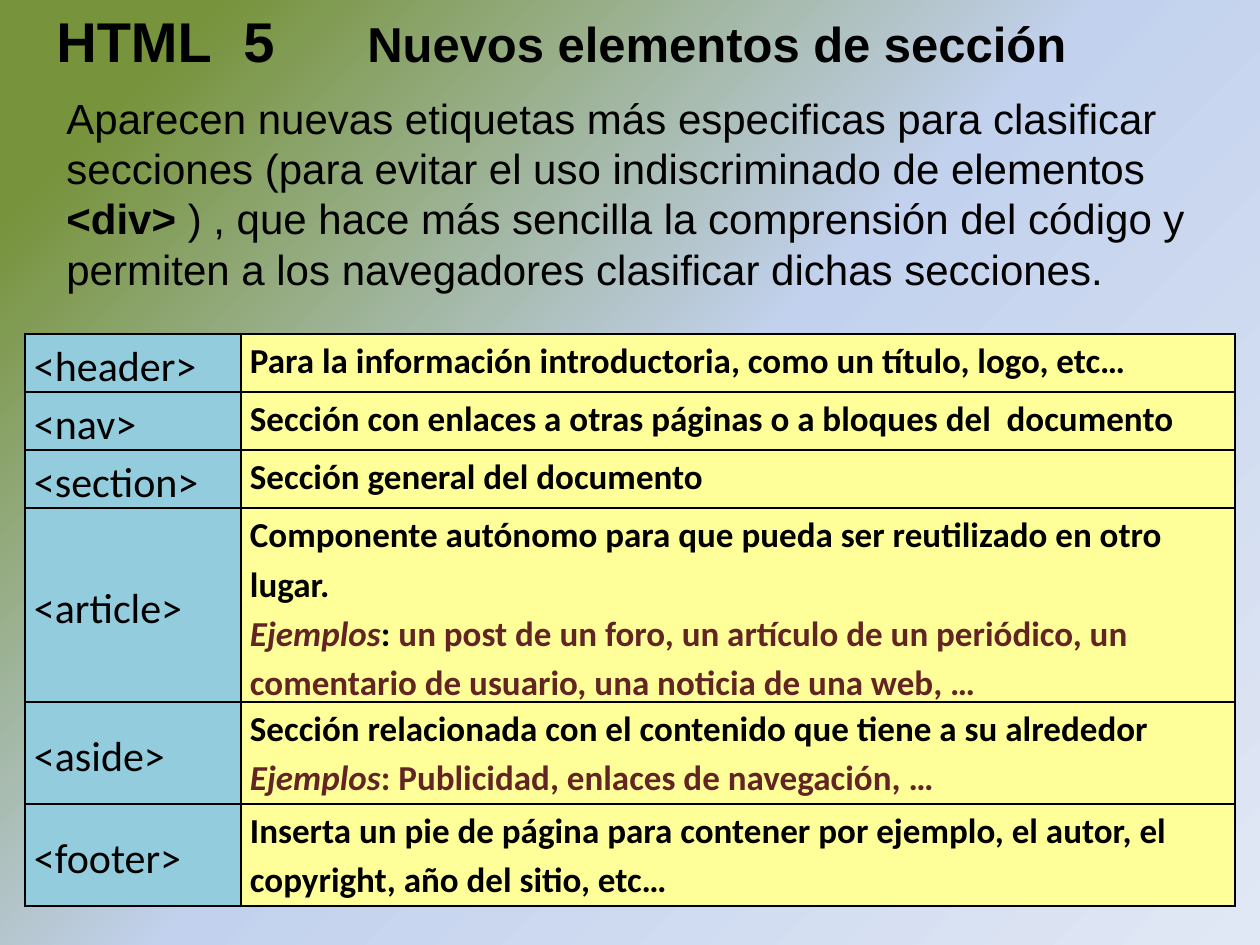
"""Build the HTML 5 section elements slide."""
from copy import deepcopy

from lxml.etree import SubElement
from pptx import Presentation
from pptx.dml.color import RGBColor
from pptx.enum.text import MSO_ANCHOR, MSO_AUTO_SIZE
from pptx.oxml.ns import qn
from pptx.util import Emu, Pt

BLACK, MAROON, CYAN, YELLOW = "000000", "632523", "93CDDD", "FFFF99"
STOPS = [(0.1, "77933C"), (0.5, "C2D1ED"), (1, "E1E8F5")]
TITLE = [("HTML\t5\t", {"size": 32, "bold": True}),
         ("Nuevos elementos de sección", {"size": 28, "bold": True})]
TITLE_TABS = [187, 311]
INTRO = [
    ("Aparecen nuevas etiquetas más especificas para clasificar secciones "
     "(para evitar el uso indiscriminado de elementos ", {}),
    ("<div> ", {"bold": True}),
    (") , que hace más sencilla la comprensión del código y permiten a los "
     "navegadores clasificar dichas secciones.", {}),
]
NOTE = {"color": MAROON}
EXAMPLES = ("Ejemplos", {"color": MAROON, "italic": True})
ROWS = [
    ("<header>", 58, [[("Para la información introductoria, como un título, logo, etc…", {})]]),
    ("<nav>", 58, [[("Sección con enlaces a otras páginas o a bloques del  documento", {})]]),
    ("<section>", 58, [[("Sección general del documento", {})]]),
    ("<article>", 194, [
        [("Componente autónomo para que pueda ser reutilizado en otro lugar.", {})],
        [EXAMPLES, (": ", {}),
         ("un post de un foro, un artículo de un periódico, un comentario de "
          "usuario, una noticia de una web, …", NOTE)]]),
    ("<aside>", 102, [
        [("Sección relacionada con el contenido que tiene a su alrededor", {})],
        [EXAMPLES, (": Publicidad, enlaces de navegación, …", NOTE)]]),
    ("<footer>", 102, [
        [("Inserta un pie de página para contener por ejemplo, el autor, el "
          "copyright, año del sitio, etc…", {})]]),
]
COLS = [216, 994]


def px(n):
    return Emu(round(n * 914400 / 126))


def rgb(color):
    return RGBColor.from_string(color)


def add_run(p, text, size=24, font="Arial", color=BLACK, bold=False, italic=False):
    r = p.add_run()
    r.text = text
    f = r.font
    f.size, f.name, f.bold, f.italic = Pt(size), font, bold, italic
    f.color.rgb = rgb(color)


def add_text(s, x, y, w, h, runs, tabs=()):
    tf = s.shapes.add_textbox(px(x), px(y), px(w), px(h)).text_frame
    tf.word_wrap = True
    tf.auto_size = MSO_AUTO_SIZE.SHAPE_TO_FIT_TEXT
    p = tf.paragraphs[0]
    if tabs:
        tab_list = SubElement(p._p.get_or_add_pPr(), qn("a:tabLst"))
        for pos in tabs:
            SubElement(tab_list, qn("a:tab"), pos=str(px(pos)), algn="l")
    for text, fmt in runs:
        add_run(p, text, **fmt)


def fill_cell(cell, paragraphs, fill, anchor, **base):
    tcPr = cell._tc.get_or_add_tcPr()
    for side in ("lnL", "lnR", "lnT", "lnB"):
        ln = SubElement(tcPr, qn(f"a:{side}"), w=str(Pt(1)))
        SubElement(SubElement(ln, qn("a:solidFill")), qn("a:srgbClr"), val=BLACK)
    cell.fill.solid()
    cell.fill.fore_color.rgb = rgb(fill)
    cell.vertical_anchor = anchor
    cell.margin_left = cell.margin_right = px(9)
    cell.margin_top = cell.margin_bottom = 0
    tf = cell.text_frame
    for i, runs in enumerate(paragraphs):
        p = tf.add_paragraph() if i else tf.paragraphs[0]
        p.line_spacing = 1.15
        for text, fmt in runs:
            add_run(p, text, font="Calibri", **base, **fmt)


def set_background(s):
    fill = s.background.fill
    fill.gradient()
    fill.gradient_angle = 315
    first = fill.gradient_stops[0]._gs
    first.addnext(deepcopy(first))
    for stop, (pos, color) in zip(fill.gradient_stops, STOPS):
        stop.position = pos
        stop.color.rgb = rgb(color)


def main():
    prs = Presentation()
    prs.slide_width, prs.slide_height = px(1260), px(945)
    s = prs.slides.add_slide(prs.slide_layouts[6])
    set_background(s)
    add_text(s, 44, 0, 1095, 81, TITLE, TITLE_TABS)
    add_text(s, 54, 86, 1206, 217, INTRO)
    height = sum(row[1] for row in ROWS)
    table = s.shapes.add_table(len(ROWS), len(COLS), px(25), px(334),
                               px(sum(COLS)), px(height)).table
    table.first_row = table.horz_banding = False
    for col, w in zip(table.columns, COLS):
        col.width = px(w)
    for row, (tag, h, description) in zip(table.rows, ROWS):
        row.height = px(h)
        fill_cell(row.cells[0], [[(tag, {})]], CYAN, MSO_ANCHOR.MIDDLE, size=24)
        fill_cell(row.cells[1], description, YELLOW, MSO_ANCHOR.TOP, size=20, bold=True)
    prs.save("out.pptx")


if __name__ == "__main__":
    main()
